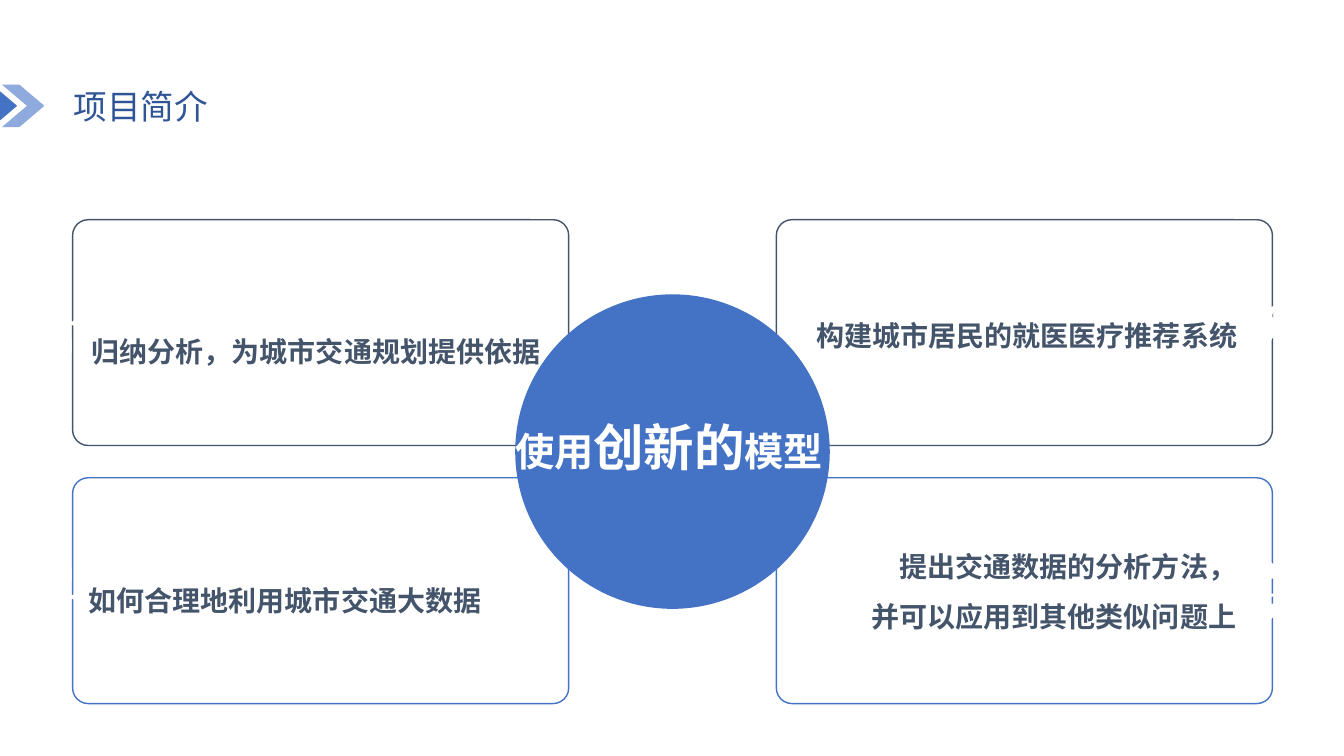
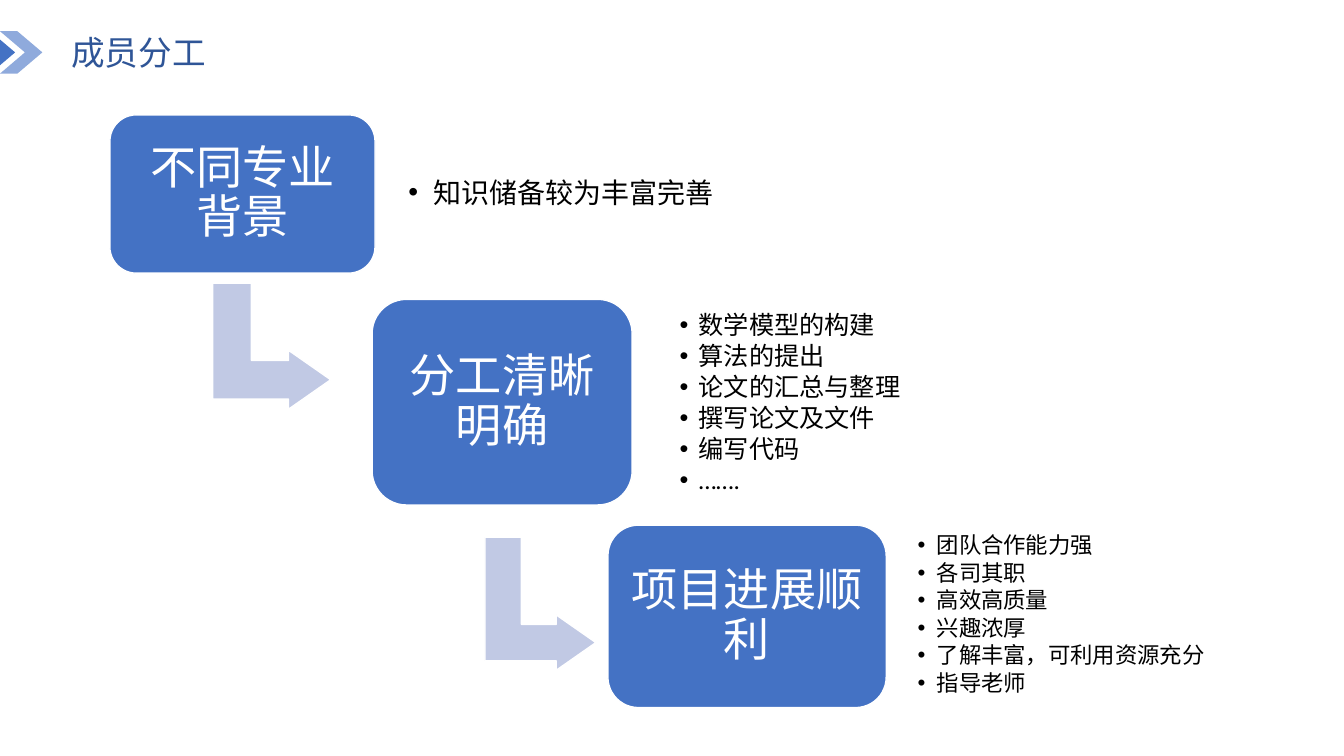
import math

import pptx
import pptx.dml.color
import pptx.enum.shapes
import pptx.enum.text
import pptx.oxml.ns
import pptx.util
from lxml import etree

Inches = pptx.util.Inches
Pt = pptx.util.Pt
SHAPE = pptx.enum.shapes.MSO_SHAPE
ALIGN = pptx.enum.text.PP_ALIGN

COLORS = {
    "blue": "4472C4", "light blue": "8FAADC", "title": "2F5597",
    "slate": "44546A", "arrow": "C1C9E4", "white": "FFFFFF", "black": "000000",
}

# Content: titles with the corner of their chevrons
INTRO = ("项目简介", 0.02, 0.84)
TEAM = ("成员分工", 0, 0.31)

# Content: outlined cards around the central circle
CARD_SIZE = (4.92, 2.24)
CARD_COLUMNS = (0.72, 7.7)
CARD_ROWS = ((2.18, "slate"), (4.74, "blue"))
# lines, text box, font, alignment
GOALS = [
    (["归纳分析，为城市交通规划提供依据"], (0.81, 3.22, 4.68, 0.36), "Arial", ALIGN.LEFT),
    (["如何合理地利用城市交通大数据"], (0.78, 5.51, 4.38, 0.72), "Calibri", ALIGN.LEFT),
    (["构建城市居民的就医医疗推荐系统"], (7.98, 2.72, 4.39, 1.04), "Calibri", ALIGN.RIGHT),
    (["提出交通数据的分析方法，", "并可以应用到其他类似问题上"],
     (7.89, 5.17, 4.47, 1.23), "Calibri", ALIGN.RIGHT),
]
CORE_MESSAGE = [("使用", 28), ("创新的", 36), ("模型", 28)]

# Content: white icons on the card edges
TREND_ARROW = [
    (0.65, 3.21), (0.73, 3.23), (0.83, 3.13), (0.89, 3.17), (0.89, 3.03),
    (0.75, 3.06), (0.8, 3.11), (0.72, 3.19), (0.64, 3.17), (0.58, 3.26),
    (0.5, 3.23), (0.44, 3.38), (0.47, 3.4), (0.51, 3.28), (0.6, 3.3),
]
BAR_TOPS = (3.4, 3.36, 3.3, 3.25, 3.18)
BAR_BASE = 3.5
MIRROR_SUM = 9.13  # y of a point plus y of its mirrored point
MAGNIFIER_HANDLE = [(12.41, 3.44), (12.4, 3.52), (12.47, 3.52), (12.54, 3.42), (12.58, 3.42)]

# Content: steps with card box, bullets, bullet box, size, inset, indent
STEPS = [
    ("不同专业背景", (1.09, 1.14, 2.63, 1.57), ["知识储备较为丰富完善"],
     (3.97, 1.06, 4.53, 1.73), 20, 0.08, 0.25),
    ("分工清晰明确", (3.69, 2.97, 2.58, 2.04),
     ["数学模型的构建", "算法的提出", "论文的汇总与整理", "撰写论文及文件", "编写代码", "……."],
     (6.67, 3.14, 4.32, 1.73), 18, 0.07, 0.19),
    ("项目进展顺利", (6.03, 5.21, 2.76, 1.81),
     ["团队合作能力强", "各司其职", "高效高质量", "兴趣浓厚", "了解丰富，可利用资源充分", "指导老师"],
     (9.03, 5.24, 3.88, 1.73), 16, 0.07, 0.19),
]
STEP_ARROWS = [(2.07, 2.85, 1.25, 1.17), (4.7, 5.44, 1.32, 1.1)]


def rgb(name):
    return pptx.dml.color.RGBColor.from_string(COLORS[name])


def paint(shape, fill=None, line=None):
    shape.shadow.inherit = False
    if fill:
        shape.fill.solid()
        shape.fill.fore_color.rgb = rgb(fill)
    else:
        shape.fill.background()
    if line:
        shape.line.color.rgb = rgb(line)
        shape.line.width = Pt(1)
    else:
        shape.line.fill.background()
    return shape


def add_preset(slide, kind, box, fill=None, line=None, adjustments=()):
    shape = slide.shapes.add_shape(kind, *map(Inches, box))
    for index, value in enumerate(adjustments):
        shape.adjustments[index] = value
    return paint(shape, fill, line)


def set_font(font, size, name, color, bold=False):
    font.size, font.name, font.bold = Pt(size), name, bold
    font.color.rgb = rgb(color)


def set_frame(shape, inset=None):
    frame = shape.text_frame
    frame.word_wrap = True
    frame.vertical_anchor = pptx.enum.text.MSO_ANCHOR.MIDDLE
    if inset is not None:
        frame.margin_left = frame.margin_right = Inches(inset)
        frame.margin_top = frame.margin_bottom = Inches(inset)
    return frame


def add_frame(slide, box, inset=None):
    return set_frame(slide.shapes.add_textbox(*map(Inches, box)), inset)


def fill_paragraphs(frame, lines):
    for index, text in enumerate(lines):
        paragraph = frame.add_paragraph() if index else frame.paragraphs[0]
        paragraph.text = text
        yield paragraph


def add_bullet(paragraph, indent):
    properties = paragraph._p.get_or_add_pPr()
    properties.set("marL", str(Inches(indent)))
    properties.set("indent", str(-Inches(indent)))
    for tag, key, value in (("a:buFont", "typeface", "Arial"), ("a:buChar", "char", "•")):
        etree.SubElement(properties, pptx.oxml.ns.qn(tag)).set(key, value)


def add_icon(slide, contours):
    builder = None
    for contour in contours:
        points = [(Inches(x), Inches(y)) for x, y in contour]
        if builder is None:
            builder = slide.shapes.build_freeform(*points[0])
        else:
            builder.move_to(*points[0])
        builder.add_line_segments(points[1:], close=True)
    paint(builder.convert_to_shape(), "white")


def rectangle(left, top, right, bottom):
    return [(left, top), (right, top), (right, bottom), (left, bottom)]


def arc(x, y, radius, start, end, steps=24):
    angles = [math.radians(start + (end - start) * i / steps) for i in range(steps + 1)]
    return [(x + radius * math.cos(a), y + radius * math.sin(a)) for a in angles]


def growth_icon():
    bars = [rectangle(0.54 + 0.1 * i, top, 0.61 + 0.1 * i, BAR_BASE)
            for i, top in enumerate(BAR_TOPS)]
    return [TREND_ARROW] + bars


def magnifier_icon():
    lens = arc(12.67, 3.18, 0.15, 102, -205)
    return [lens + MAGNIFIER_HANDLE, arc(12.68, 3.13, 0.06, 0, 345)]


def gear_icon(teeth=10):
    outline = []
    for i in range(teeth * 2):
        radius = 0.23 if i % 2 else 0.28
        angle = math.pi * i / teeth
        outline.append((12.61 + radius * math.sin(angle), 5.86 - radius * math.cos(angle)))
    return [outline, rectangle(12.58, 5.74, 12.64, 5.89), rectangle(12.58, 5.92, 12.64, 5.99)]


def add_titled_slide(deck, title, x, y):
    slide = deck.slides.add_slide(deck.slide_layouts[6])
    heading = add_frame(slide, (x + 0.61, y - 0.15, 2.71, 0.72)).paragraphs[0]
    heading.text = title
    set_font(heading.font, 24, "Arial", "title")
    for left, color in ((x, "light blue"), (x - 0.27, "blue")):
        add_preset(slide, SHAPE.CHEVRON, (left, y, 0.42, 0.42), color, adjustments=[0.589])
    return slide


def build_intro(deck):
    slide = add_titled_slide(deck, *INTRO)

    # Cards and the icons on their outer edges
    for left in CARD_COLUMNS:
        for top, color in CARD_ROWS:
            add_preset(slide, SHAPE.ROUNDED_RECTANGLE, (left, top, *CARD_SIZE),
                       line=color, adjustments=[0.069])
    growth = growth_icon()
    mirrored = [[(x, MIRROR_SUM - y) for x, y in contour] for contour in growth]
    for icon in (growth, mirrored, magnifier_icon(), gear_icon()):
        add_icon(slide, icon)

    # Goals
    for lines, box, font, alignment in GOALS:
        for paragraph in fill_paragraphs(add_frame(slide, box), lines):
            paragraph.alignment = alignment
            paragraph.line_spacing = 1.5
            set_font(paragraph.font, 20, font, "slate", bold=True)

    # Central circle
    add_preset(slide, SHAPE.OVAL, (5.11, 2.92, 3.12, 3.12), "blue")
    message = add_frame(slide, (5.11, 3.84, 3.43, 1.17), 0).paragraphs[0]
    for text, size in CORE_MESSAGE:
        run = message.add_run()
        run.text = text
        set_font(run.font, size, "Arial", "white", bold=True)


def build_team(deck):
    slide = add_titled_slide(deck, *TEAM)

    # Arrows between steps
    for box in STEP_ARROWS:
        arrow = add_preset(slide, SHAPE.BENT_UP_ARROW, box, "arrow", "white",
                           [0.328, 0.25, 0.358])
        arrow.rotation = 90

    # Step cards with their bullets
    for name, card_box, points, list_box, size, inset, indent in STEPS:
        card = add_preset(slide, SHAPE.ROUNDED_RECTANGLE, card_box, "blue", "white", [0.167])
        label = set_frame(card, 0.14).paragraphs[0]
        label.text = name
        label.alignment = ALIGN.CENTER
        label.line_spacing = 0.9
        set_font(label.font, 33, "Calibri", "white")

        for paragraph in fill_paragraphs(add_frame(slide, list_box, inset), points):
            paragraph.line_spacing = 0.9
            paragraph.space_after = Pt(size * 0.15)
            add_bullet(paragraph, indent)
            set_font(paragraph.font, size, "Calibri", "black")


def main():
    deck = pptx.Presentation()
    deck.slide_width, deck.slide_height = Inches(13.33), Inches(7.5)
    build_intro(deck)
    build_team(deck)
    deck.save("out.pptx")


if __name__ == "__main__":
    main()
